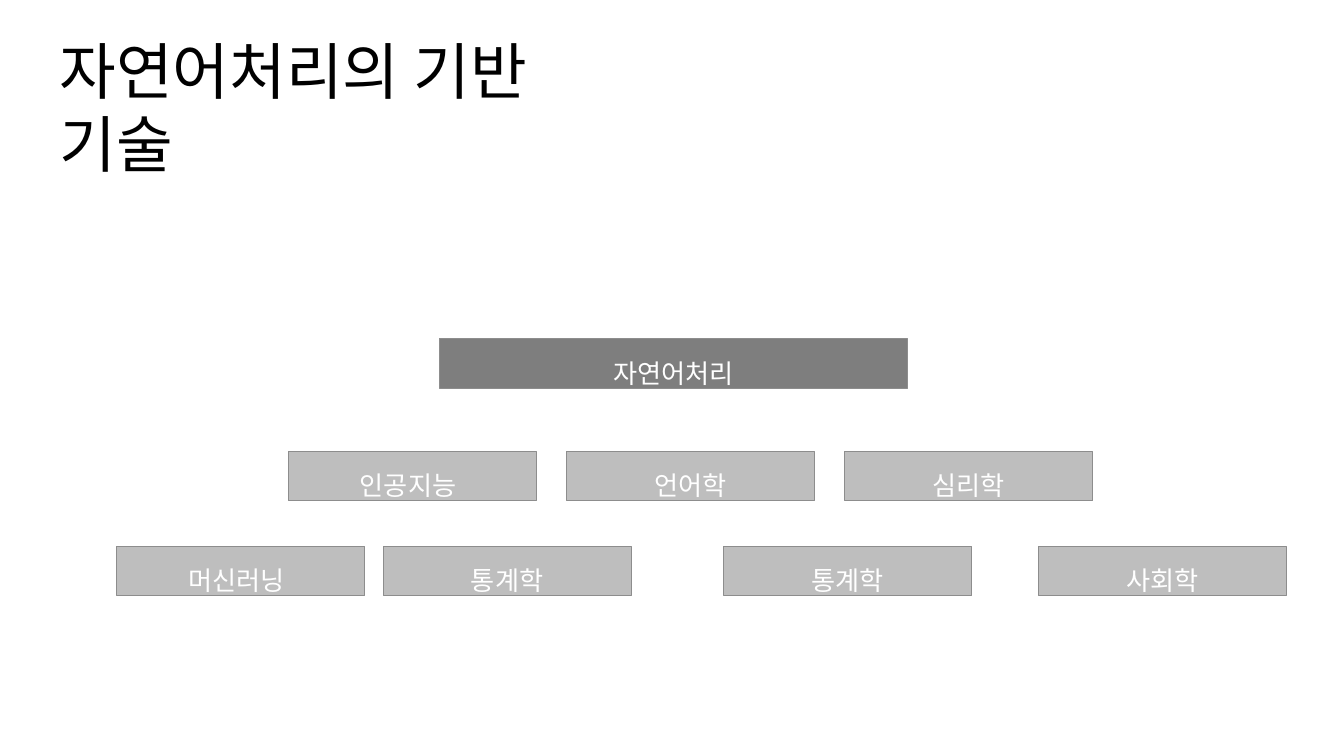
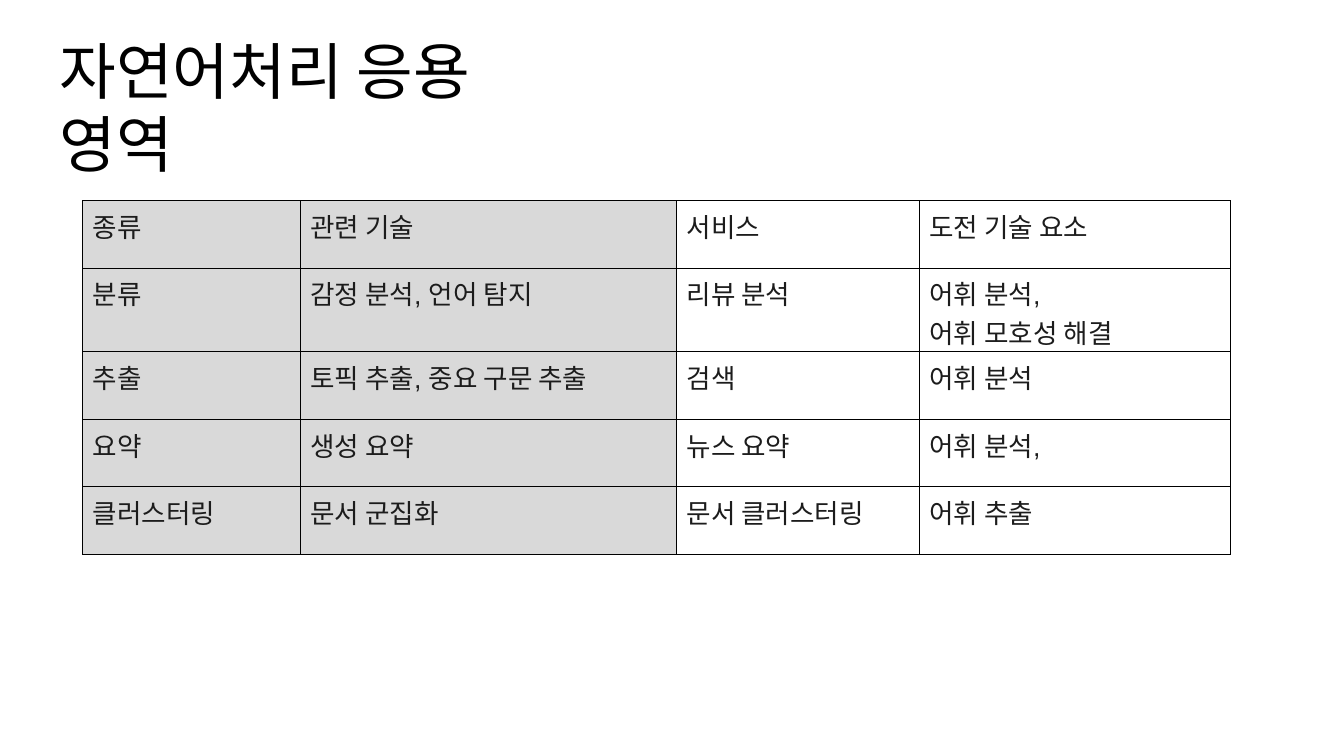
from lxml import etree
from pptx import Presentation
from pptx.dml.color import RGBColor
from pptx.enum import shapes, text
from pptx.oxml import ns
from pptx.util import Inches, Pt

KOREAN, LATIN = "Noto Sans CJK KR", "Arial"
BLACK, WHITE, INK = "000000", "FFFFFF", "1C1C1C"
DARK, LIGHT, EDGE, SHADE = "7E7E7E", "BEBEBE", "8D8D8D", "D9D9D9"


def color(value):
    return RGBColor.from_string(value)


def apply(target, values):
    """Set each named format value on the target."""
    for name, value in values.items():
        setattr(target, name, value)


def margins(left, top):
    return {"margin_left": Inches(left), "margin_top": Inches(top),
            "margin_right": 0, "margin_bottom": 0}


class Deck:
    BLANK = 6
    BOX_WIDTH, BOX_HEIGHT = 2.46, 0.49

    def __init__(self):
        self.deck = Presentation()
        apply(self.deck, {"slide_width": Inches(13.33), "slide_height": Inches(7.5)})
        self.page = None

    def add_page(self):
        self.page = self.deck.slides.add_slide(self.deck.slide_layouts[self.BLANK])

    def span(self, para, words, size, ink, font=KOREAN):
        span = para.add_run()
        span.text = words
        span.font.color.rgb = color(ink)
        apply(span.font, {"size": Pt(size), "name": font})
        east_asian = etree.SubElement(span.font._element, ns.qn("a:ea"))
        east_asian.set("typeface", font)

    def title(self, words, width):
        box = self.page.shapes.add_textbox(
            Inches(0.57), Inches(0.75), Inches(width), Inches(0.59))
        frame = box.text_frame
        apply(frame, {**margins(0.02, 0.02), "word_wrap": True,
                      "vertical_anchor": text.MSO_ANCHOR.MIDDLE})
        para = frame.paragraphs[0]
        para.space_before = Pt(1.3)
        self.span(para, words, 44, BLACK)

    def field(self, words, left, top, width=BOX_WIDTH, fill=LIGHT, indent=0):
        """Add a labelled box; an indent replaces centring."""
        box = self.page.shapes.add_shape(
            shapes.MSO_SHAPE.RECTANGLE, Inches(left), Inches(top),
            Inches(width), Inches(self.BOX_HEIGHT))
        box.shadow.inherit = False
        box.fill.solid()
        box.fill.fore_color.rgb = color(fill)
        box.line.color.rgb = color(EDGE)
        box.line.width = Pt(0.72)
        apply(box.text_frame, {**margins(indent, 0.18), "word_wrap": True,
                               "vertical_anchor": text.MSO_ANCHOR.TOP})
        para = box.text_frame.paragraphs[0]
        apply(para, {"space_before": Pt(12.8),
                     "alignment": text.PP_ALIGN.LEFT if indent else text.PP_ALIGN.CENTER})
        self.span(para, words, 18.7, WHITE)

    def borders(self, cell):
        properties = cell._tc.get_or_add_tcPr()
        for index, side in enumerate(("lnL", "lnR", "lnT", "lnB")):
            line = etree.Element(ns.qn(f"a:{side}"), w=str(Pt(0.75)))
            fill = etree.SubElement(line, ns.qn("a:solidFill"))
            etree.SubElement(fill, ns.qn("a:srgbClr"), val=BLACK)
            properties.insert(index, line)

    def fill_cell(self, cell, words, shaded):
        apply(cell, margins(0.1, 0.06))
        if shaded:
            cell.fill.solid()
            cell.fill.fore_color.rgb = color(SHADE)
        else:
            cell.fill.background()
        self.borders(cell)
        frame = cell.text_frame
        for index, line in enumerate(words.split("\n")):
            para = frame.add_paragraph() if index else frame.paragraphs[0]
            para.space_before = Pt(0 if index else 3.3)
            before, comma, after = line.partition(",")
            self.span(para, before, 19, INK)
            if comma:
                self.span(para, ", " if after else ",", 19, INK, LATIN)
            if after:
                self.span(para, after.strip(), 19, INK)

    def table(self, rows, left, top, widths, heights, shaded_columns):
        table = self.page.shapes.add_table(
            len(rows), len(widths), Inches(left), Inches(top),
            Inches(sum(widths)), Inches(sum(heights))).table
        apply(table, {"first_row": False, "horz_banding": False})
        for column, width in zip(table.columns, widths):
            column.width = Inches(width)
        for row, height, entries in zip(table.rows, heights, rows):
            row.height = Inches(height)
            for index, (cell, words) in enumerate(zip(row.cells, entries)):
                self.fill_cell(cell, words, index < shaded_columns)


def foundations(deck):
    deck.add_page()
    deck.field("자연어처리", 4.36, 3.36, width=4.64, fill=DARK)
    for index, (words, indent) in enumerate(
            (("인공지능", 0.71), ("언어학", 0), ("심리학", 0))):
        deck.field(words, 2.86 + 2.76 * index, 4.48, indent=indent)
    for words, left, indent in (("머신러닝", 1.16, 0.71), ("통계학", 3.8, 0),
                                ("통계학", 7.18, 0), ("사회학", 10.3, 0)):
        deck.field(words, left, 5.42, indent=indent)
    deck.title("자연어처리의 기반 기술", 4.92)


def applications(deck):
    deck.add_page()
    rows = (
        ("종류", "관련 기술", "서비스", "도전 기술 요소"),
        ("분류", "감정 분석, 언어 탐지", "리뷰 분석", "어휘 분석,\n어휘 모호성 해결"),
        ("추출", "토픽 추출, 중요 구문 추출", "검색", "어휘 분석"),
        ("요약", "생성 요약", "뉴스 요약", "어휘 분석,"),
        ("클러스터링", "문서 군집화", "문서 클러스터링", "어휘 추출"),
    )
    deck.table(rows, 0.82, 1.99, widths=(2.16, 3.73, 2.41, 3.08),
               heights=(0.67, 0.83, 0.67, 0.67, 0.67), shaded_columns=2)
    deck.title("자연어처리 응용 영역", 4.46)


def main():
    deck = Deck()
    foundations(deck)
    applications(deck)
    deck.deck.save("out.pptx")


if __name__ == "__main__":
    main()
